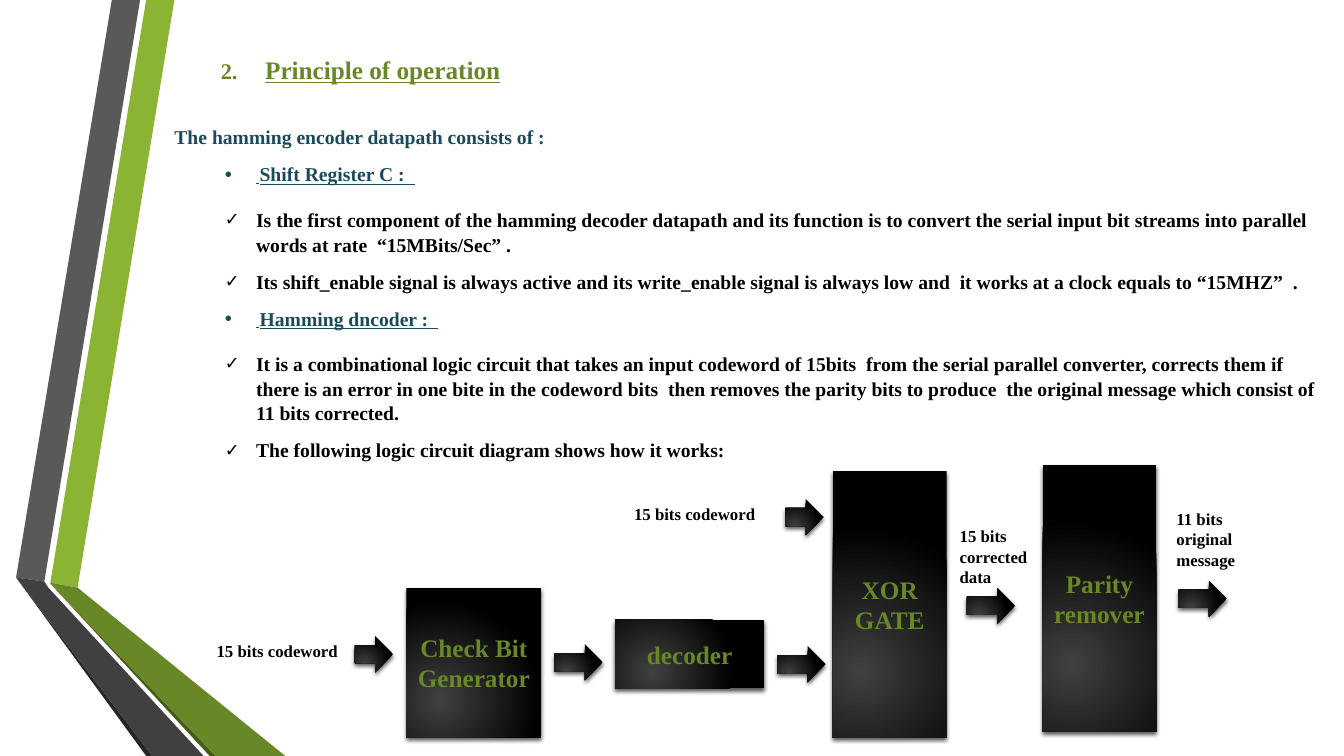
from pptx import Presentation
from pptx.dml.color import RGBColor
from pptx.enum.shapes import MSO_SHAPE
from pptx.enum.text import MSO_ANCHOR, MSO_AUTO_SIZE, PP_ALIGN
from pptx.oxml import parse_xml
from pptx.oxml.ns import nsdecls
from pptx.util import Inches, Pt

FONT = "Times New Roman"
COLORS = {
    "lime": "8BB434", "green": "688727", "moss": "465A1A",
    "gray": "595959", "dark": "404040", "coal": "262626",
    "teal": "1B4A5A", "black": "000000",
}

# Outlines in inches from the top left corner of the ribbon
BANDS = [
    ("lime", [(0.34, 5.78), (0.61, 5.83), (1.57, 0), (1.29, 0)]),
    ("gray", [(1.23, 0), (0.95, 0), (0, 5.73), (0.28, 5.77)]),
    ("coal", [(0, 5.73), (1.29, 7.5), (1.35, 7.5)]),
    ("moss", [(0.34, 5.79), (1.92, 7.5), (1.98, 7.5)]),
    ("green", [(0.34, 5.79), (1.98, 7.5), (2.67, 7.5), (0.61, 5.83), (0.34, 5.78)]),
    ("dark", [(1.86, 7.5), (0.32, 5.83), (0.28, 5.77), (0, 5.73), (1.35, 7.5)]),
]

INTRO = "The hamming encoder datapath consists of :"
PARTS = [
    ("Shift Register C :  ", [
        "Is the first component of the hamming decoder datapath and its function is "
        "to convert the serial input bit streams into parallel words at rate  “15MBits/Sec” .",
        "Its shift_enable signal is always active and its write_enable signal is "
        "always low and  it works at a clock equals to “15MHZ”  .",
    ]),
    ("Hamming dncoder :  ", [
        "It is a combinational logic circuit that takes an input codeword of 15bits  "
        "from the serial parallel converter, corrects them if there is an error in one "
        "bite in the codeword bits  then removes the parity bits to produce  the "
        "original message which consist of 11 bits corrected.",
        "The following logic circuit diagram shows how it works:",
    ]),
]

# Diagram parts: left, top, width, height from the diagram corner
BLOCKS = [
    ("Check Bit Generator", 1.98, 1.22, 1.34, 1.49),
    ("decoder", 4.05, 1.54, 1.48, 0.68),
    ("XOR GATE", 6.21, 0.06, 1.13, 2.65),
    ("Parity remover", 8.29, 0, 1.13, 2.65),
]
ARROWS = [
    (1.47, 1.7, 0.38), (3.45, 1.78, 0.48), (5.66, 1.8, 0.48),
    (5.74, 0.34, 0.38), (7.54, 1.22, 0.48), (9.64, 1.15, 0.48),
]
LABELS = [
    ("15 bits codeword", 0, 1.7, 2.08, 0.3),
    ("15 bits codeword", 4.14, 0.34, 2.08, 0.3),
    ("15 bits corrected data", 7.37, 0.56, 1.04, 0.71),
    ("11 bits original message", 9.52, 0.39, 1.04, 0.71),
]


def rgb(name):
    return RGBColor.from_string(COLORS[name])


def place(shape, left, top, width, height):
    shape.left, shape.top = Inches(left), Inches(top)
    shape.width, shape.height = Inches(width), Inches(height)


def style(font, size, color):
    font.name, font.size, font.bold = FONT, Pt(size), True
    font.color.rgb = rgb(color)


def indent(para, left, first, mark=None, scale=100):
    """Set the hanging indent in inches and the bullet mark."""
    props = para._p.get_or_add_pPr()
    props.set("marL", str(Inches(left)))
    props.set("indent", str(Inches(first)))
    ns = nsdecls("a")
    if mark:
        props.append(parse_xml(f'<a:buSzPct {ns} val="{scale * 1000}"/>'))
        props.append(parse_xml(f'<a:buFont {ns} typeface="Arial"/>'))
        props.append(parse_xml(f'<a:buChar {ns} char="{mark}"/>'))
    else:
        props.append(parse_xml(f"<a:buNone {ns}/>"))


def gloss(shape):
    """Give a shape the dark radial fill, no line and a soft shadow."""
    ns, props = nsdecls("a"), shape._element.spPr
    props.append(parse_xml(
        f'<a:gradFill {ns}><a:gsLst>'
        f'<a:gs pos="0"><a:srgbClr val="{COLORS["dark"]}"/></a:gs>'
        f'<a:gs pos="100000"><a:srgbClr val="{COLORS["black"]}"/></a:gs></a:gsLst>'
        '<a:path path="circle"><a:fillToRect l="50000" t="100000" r="100000" b="50000"/>'
        '</a:path></a:gradFill>'))
    shape.line.fill.background()
    props.append(parse_xml(
        f'<a:effectLst {ns}><a:outerShdw blurRad="{Pt(3)}" dist="{Pt(2)}" dir="5400000" '
        f'rotWithShape="0"><a:srgbClr val="{COLORS["black"]}"><a:alpha val="64000"/>'
        '</a:srgbClr></a:outerShdw></a:effectLst>'))


def ribbon(slide, left, top):
    for color, dots in BANDS:
        spots = [(Inches(left + x), Inches(top + y)) for x, y in dots]
        pen = slide.shapes.build_freeform(*spots[0])
        pen.add_line_segments(spots[1:], close=True)
        band = pen.convert_to_shape()
        band.fill.solid()
        band.fill.fore_color.rgb = rgb(color)
        band.line.fill.background()
        band.shadow.inherit = False


def heading(slide, *box):
    title = slide.shapes.title
    place(title, *box)
    frame = title.text_frame
    frame.auto_size = MSO_AUTO_SIZE.NONE
    frame.vertical_anchor = MSO_ANCHOR.TOP
    para = frame.paragraphs[0]
    para.alignment = PP_ALIGN.LEFT
    para.space_before = Pt(3.6)
    indent(para, 0.44, -0.44)
    for text, size, under in [("2.\t", 16, False), ("Principle of operation", 18, True)]:
        run = para.add_run()
        run.text = text
        style(run.font, size, "green")
        run.font.underline = under


def item(para, color, after, lines=1.05):
    style(para.font, 14, color)
    para.line_spacing = lines
    para.space_before, para.space_after = Pt(2.8), Pt(after)


def details(slide, *box):
    body = slide.placeholders[1]
    place(body, *box)
    frame = body.text_frame
    frame.auto_size = MSO_AUTO_SIZE.NONE
    frame.vertical_anchor = MSO_ANCHOR.TOP
    intro = frame.paragraphs[0]
    intro.text = INTRO
    item(intro, "teal", 6, 2.0)
    indent(intro, 0, 0)
    for name, points in PARTS:
        head = frame.add_paragraph()
        head.level = 1
        item(head, "teal", 12)
        indent(head, 0.81, -0.31, "•", 145)
        for text, size in [(" ", 10), (name, 14)]:
            run = head.add_run()
            run.text = text
            style(run.font, size, "teal")
            run.font.underline = True
        for text in points:
            point = frame.add_paragraph()
            point.text, point.level = text, 1
            item(point, "black", 6)
            indent(point, 0.81, -0.31, "✓", 90)


def diagram(slide, left, top):
    def add(kind, x, y, width, height):
        return slide.shapes.add_shape(kind, Inches(left + x), Inches(top + y),
                                      Inches(width), Inches(height))

    for text, *box in BLOCKS:
        block = add(MSO_SHAPE.RECTANGLE, *box)
        gloss(block)
        block.text_frame.text = text
        block.text_frame.vertical_anchor = MSO_ANCHOR.MIDDLE
        para = block.text_frame.paragraphs[0]
        para.alignment = PP_ALIGN.CENTER
        style(para.font, 18, "green")
    for x, y, width in ARROWS:
        gloss(add(MSO_SHAPE.RIGHT_ARROW, x, y, width, 0.36))
    for text, x, y, width, height in LABELS:
        label = slide.shapes.add_textbox(Inches(left + x), Inches(top + y),
                                         Inches(width), Inches(height))
        label.text_frame.word_wrap = True
        label.text_frame.text = text
        style(label.text_frame.paragraphs[0].font, 12, "black")


def main():
    deck = Presentation()
    deck.slide_width, deck.slide_height = Inches(13.33), Inches(7.5)
    slide = deck.slides.add_slide(deck.slide_layouts[1])
    ribbon(slide, 0.16, 0)
    heading(slide, 2.09, 0.49, 3.83, 0.68)
    details(slide, 1.63, 0.96, 11.58, 6.25)
    diagram(slide, 2.05, 4.61)
    deck.save("out.pptx")


if __name__ == "__main__":
    main()
